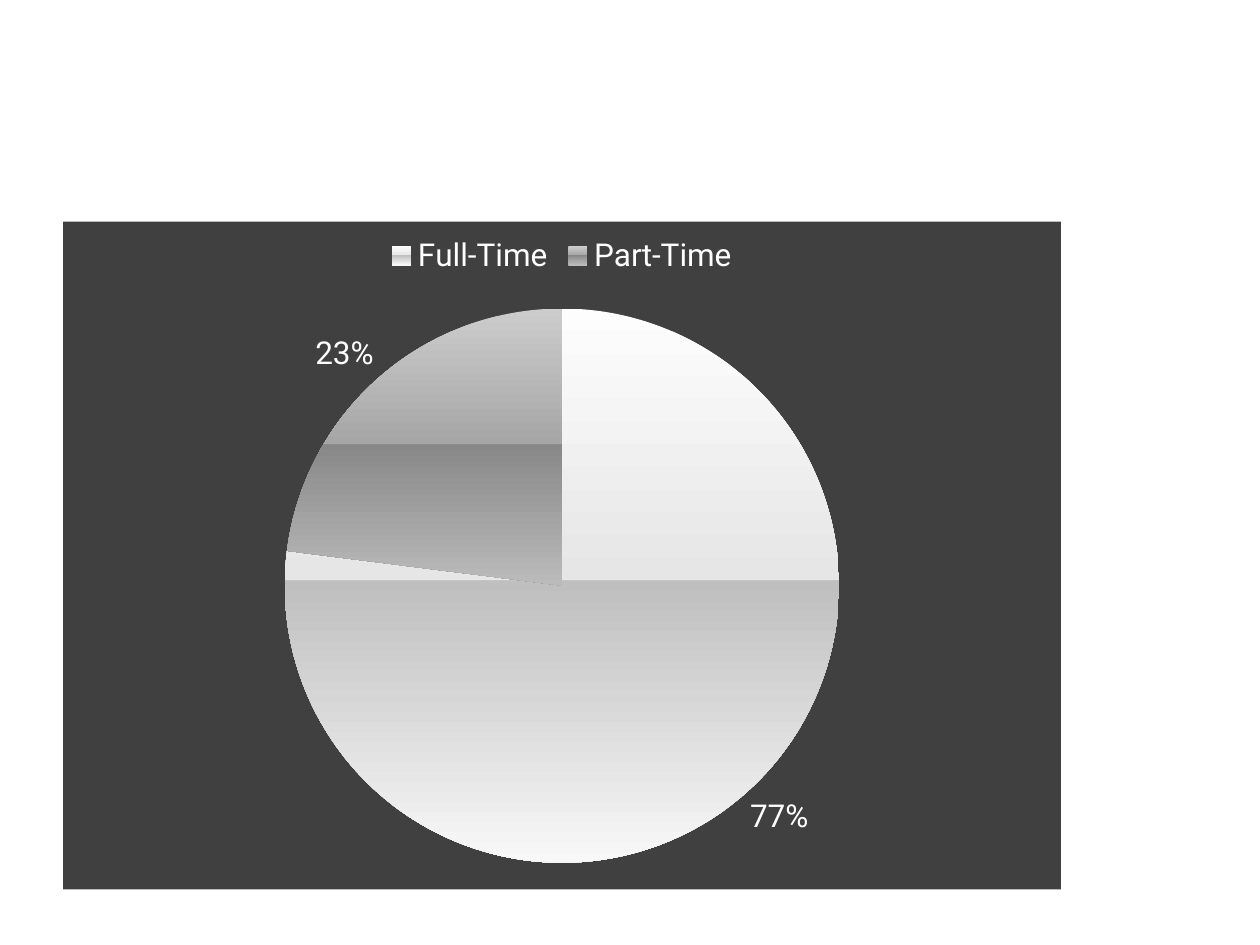
from lxml import etree
from pptx import Presentation
from pptx import util as u
from pptx.chart.data import CategoryChartData
from pptx.dml.color import RGBColor
from pptx.enum import chart as ch
from pptx.oxml import parse_xml
from pptx.oxml.ns import nsdecls, qn

# Content
SHARES = [("Full-Time", 0.77), ("Part-Time", 0.23)]
COLORS = {"panel": "404040", "text": "FFFFFF"}
GRADIENTS = {  # (position in percent, colour)
    "Full-Time": [(0, "FDFDFD"), (49, "E6E6E6"), (49.1, "BFBFBF"), (100, "F8F8F8")],
    "Part-Time": [(0, "CCCCCC"), (49, "A6A6A6"), (49.1, "888888"), (100, "BBBBBB")],
}
CHART_BOX = (36, 126.72, 570.24, 381.6)
PIE_LAYOUT = {"x": 0.22, "y": 0.13, "w": 0.56, "h": 0.83}


def style(item, size=18, color="text", font="Roboto"):
    """Format the text of a chart part."""
    f = item.font
    f.size, f.name, f.bold = u.Pt(size), font, False
    f.color.rgb = RGBColor.from_string(COLORS[color])


def panel_fill():
    return parse_xml(
        f'<c:spPr {nsdecls("c", "a")}><a:solidFill><a:srgbClr val="{COLORS["panel"]}"/>'
        "</a:solidFill><a:ln><a:noFill/></a:ln></c:spPr>")


def gradient_fill(fmt, stops):
    fmt.fill.gradient()
    fmt.fill.gradient_angle = 270
    gs_lst = next(fmt.fill._xPr.iter(qn("a:gsLst")))
    for gs in list(gs_lst):
        gs_lst.remove(gs)
    for pos, color in stops:
        gs = etree.SubElement(gs_lst, qn("a:gs"), pos=str(round(pos * 1000)))
        etree.SubElement(gs, qn("a:srgbClr"), val=color)
    fmt.line.fill.background()


prs = Presentation()
prs.slide_width, prs.slide_height = u.Pt(720), u.Pt(540)
s = prs.slides.add_slide(prs.slide_layouts[6])

# Pie chart
data = CategoryChartData(number_format="0%")
data.categories = [name for name, _ in SHARES]
data.add_series("Series 1", [share for _, share in SHARES])
chart = s.shapes.add_chart(ch.XL_CHART_TYPE.PIE, *map(u.Pt, CHART_BOX), data).chart
chart.has_title = False
style(chart)

# Legend
chart.has_legend = True
chart.legend.position = ch.XL_LEGEND_POSITION.TOP
chart.legend.include_in_layout = False
style(chart.legend)

# Slices and labels
plot = chart.plots[0]
plot.vary_by_categories = True
for i, (name, _) in enumerate(SHARES):
    gradient_fill(plot.series[0].points[i].format, GRADIENTS[name])
labels = plot.series[0].data_labels
labels.show_value = True
labels.number_format, labels.number_format_is_linked = "0%", False
labels.position = ch.XL_LABEL_POSITION.OUTSIDE_END
style(labels)

# Panel behind the chart and place of the pie
space = chart._chartSpace
space.find(qn("c:chart")).addnext(panel_fill())
area = space.find(qn("c:chart")).find(qn("c:plotArea"))
area.append(panel_fill())
for old in area.findall(qn("c:layout")):
    area.remove(old)
layout = etree.Element(qn("c:layout"))
manual = etree.SubElement(layout, qn("c:manualLayout"))
settings = {"layoutTarget": "inner", "xMode": "edge", "yMode": "edge", **PIE_LAYOUT}
for tag, val in settings.items():
    etree.SubElement(manual, qn(f"c:{tag}"), val=str(val))
area.insert(0, layout)

prs.save("out.pptx")
